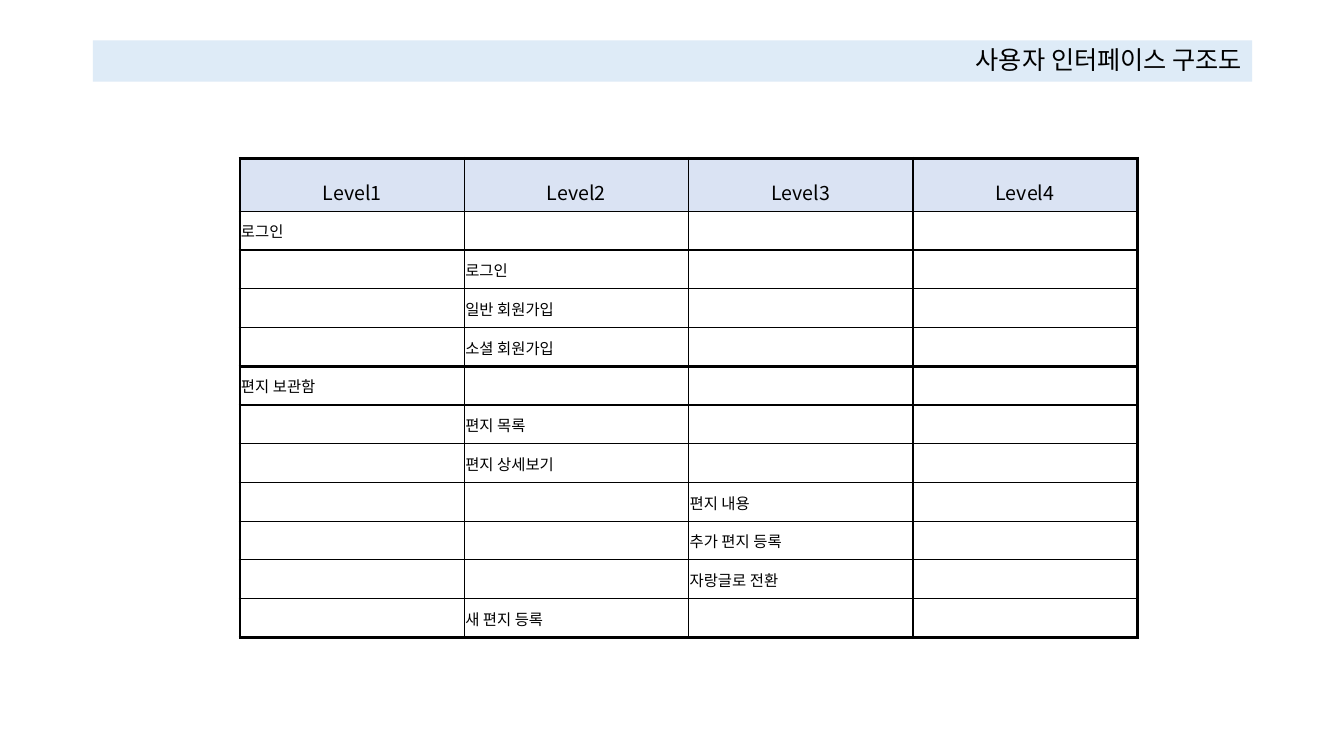
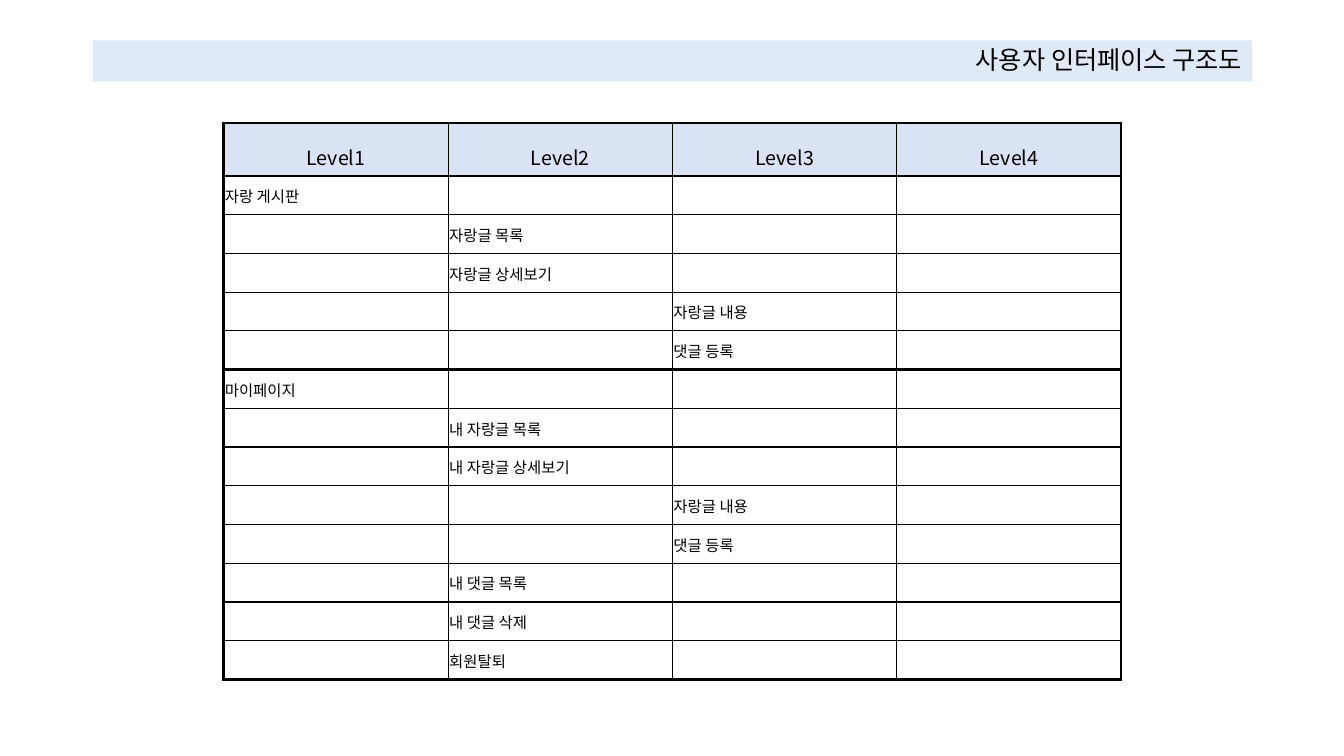
from dataclasses import dataclass

from lxml import etree
from pptx import Presentation
from pptx.dml.color import RGBColor
from pptx.enum.text import MSO_ANCHOR, MSO_AUTO_SIZE, PP_ALIGN
from pptx.oxml.ns import qn
from pptx.util import Inches, Pt

MIDDLE = MSO_ANCHOR.MIDDLE
LEFT, CENTER, RIGHT = PP_ALIGN.LEFT, PP_ALIGN.CENTER, PP_ALIGN.RIGHT
NO_AUTOFIT = MSO_AUTO_SIZE.NONE


@dataclass(frozen=True)
class Theme:
    font: str = "Noto Sans CJK KR"
    ink: str = "000000"
    band: str = "DEEBF7"
    header: str = "DAE3F3"
    body: str = "FFFFFF"
    title_size: float = 18
    header_size: float = 14
    body_size: float = 11
    thin: float = 1
    thick: float = 2.25


theme = Theme()

TITLE = "사용자 인터페이스 구조도"
TITLE_BOX = {
    "left": Inches(0.92),
    "top": Inches(0.4),
    "width": Inches(11.5),
    "height": Inches(0.41),
}
TITLE_FORMAT = {"alignment": RIGHT, "line_spacing": 0.9}
HEADER_FORMAT = {"alignment": CENTER, "line_spacing": 1.5}
BODY_FORMAT = {"alignment": LEFT}
BODY_CELL = {
    "vertical_anchor": MIDDLE,
    "margin_left": Inches(0.01),
    "margin_right": Inches(0.01),
    "margin_top": Inches(0.01),
    "margin_bottom": 0,
}
HEADER_CELL = {"vertical_anchor": MIDDLE}
LEVELS = ["Level1", "Level2", "Level3", "Level4"]
TABLE_WIDTH = Inches(8.9)
HEADER_HEIGHT = Inches(0.52)

PAGES = [
    {
        "left": Inches(2.38),
        "top": Inches(1.57),
        "height": Inches(4.75),
        "entries": [
            (1, "로그인"),
            (2, "로그인"),
            (2, "일반 회원가입"),
            (2, "소셜 회원가입"),
            (1, "편지 보관함"),
            (2, "편지 목록"),
            (2, "편지 상세보기"),
            (3, "편지 내용"),
            (3, "추가 편지 등록"),
            (3, "자랑글로 전환"),
            (2, "새 편지 등록"),
        ],
    },
    {
        "left": Inches(2.22),
        "top": Inches(1.22),
        "height": Inches(5.52),
        "entries": [
            (1, "자랑 게시판"),
            (2, "자랑글 목록"),
            (2, "자랑글 상세보기"),
            (3, "자랑글 내용"),
            (3, "댓글 등록"),
            (1, "마이페이지"),
            (2, "내 자랑글 목록"),
            (2, "내 자랑글 상세보기"),
            (3, "자랑글 내용"),
            (3, "댓글 등록"),
            (2, "내 댓글 목록"),
            (2, "내 댓글 삭제"),
            (2, "회원탈퇴"),
        ],
    },
]


def write_text(text_frame, text, size, paragraph_format):
    paragraph = text_frame.paragraphs[0]
    for name, value in paragraph_format.items():
        setattr(paragraph, name, value)
    run = paragraph.add_run()
    run.text = text
    run.font.size = Pt(size)
    run.font.name = theme.font
    run.font.color.rgb = RGBColor.from_string(theme.ink)
    east_asian = etree.SubElement(run._r.get_or_add_rPr(), qn("a:ea"))
    east_asian.set("typeface", theme.font)


def draw_borders(cell, widths):
    properties = cell._tc.get_or_add_tcPr()
    for side, width in widths.items():
        line = etree.SubElement(properties, qn(f"a:ln{side}"), w=str(Pt(width)))
        fill = etree.SubElement(line, qn("a:solidFill"))
        etree.SubElement(fill, qn("a:srgbClr"), val=theme.ink)


presentation = Presentation()
presentation.slide_width = Inches(13.33)
presentation.slide_height = Inches(7.5)
title_only = presentation.slide_layouts[5]

for page in PAGES:
    slide = presentation.slides.add_slide(title_only)
    title = slide.shapes.title
    for name, value in TITLE_BOX.items():
        setattr(title, name, value)
    title.fill.solid()
    title.fill.fore_color.rgb = RGBColor.from_string(theme.band)
    title.text_frame.auto_size = NO_AUTOFIT
    title.text_frame.vertical_anchor = MIDDLE
    write_text(title.text_frame, TITLE, theme.title_size, TITLE_FORMAT)

    entries = page["entries"]
    row_count = len(entries) + 1
    column_count = len(LEVELS)
    table = slide.shapes.add_table(
        row_count, column_count, page["left"], page["top"], TABLE_WIDTH, page["height"]
    ).table
    table.first_row = False
    table.horz_banding = False

    group_starts = [
        row for row, (level, _) in enumerate(entries, start=1) if level == 1 and row > 1
    ]
    thick_rows = {0, row_count, *group_starts}
    thick_columns = {0, column_count}
    body_height = (page["height"] - HEADER_HEIGHT) // len(entries)

    for row in range(row_count):
        is_header = row == 0
        table.rows[row].height = HEADER_HEIGHT if is_header else body_height
        for column in range(column_count):
            cell = table.cell(row, column)
            for name, value in (HEADER_CELL if is_header else BODY_CELL).items():
                setattr(cell, name, value)
            edges = {
                "L": column in thick_columns,
                "R": column + 1 in thick_columns,
                "T": row in thick_rows,
                "B": row + 1 in thick_rows,
            }
            draw_borders(
                cell,
                {side: theme.thick if heavy else theme.thin for side, heavy in edges.items()},
            )
            cell.fill.solid()
            cell.fill.fore_color.rgb = RGBColor.from_string(
                theme.header if is_header else theme.body
            )

    for column, label in enumerate(LEVELS):
        write_text(table.cell(0, column).text_frame, label, theme.header_size, HEADER_FORMAT)
    for row, (level, label) in enumerate(entries, start=1):
        write_text(table.cell(row, level - 1).text_frame, label, theme.body_size, BODY_FORMAT)

presentation.save("out.pptx")
